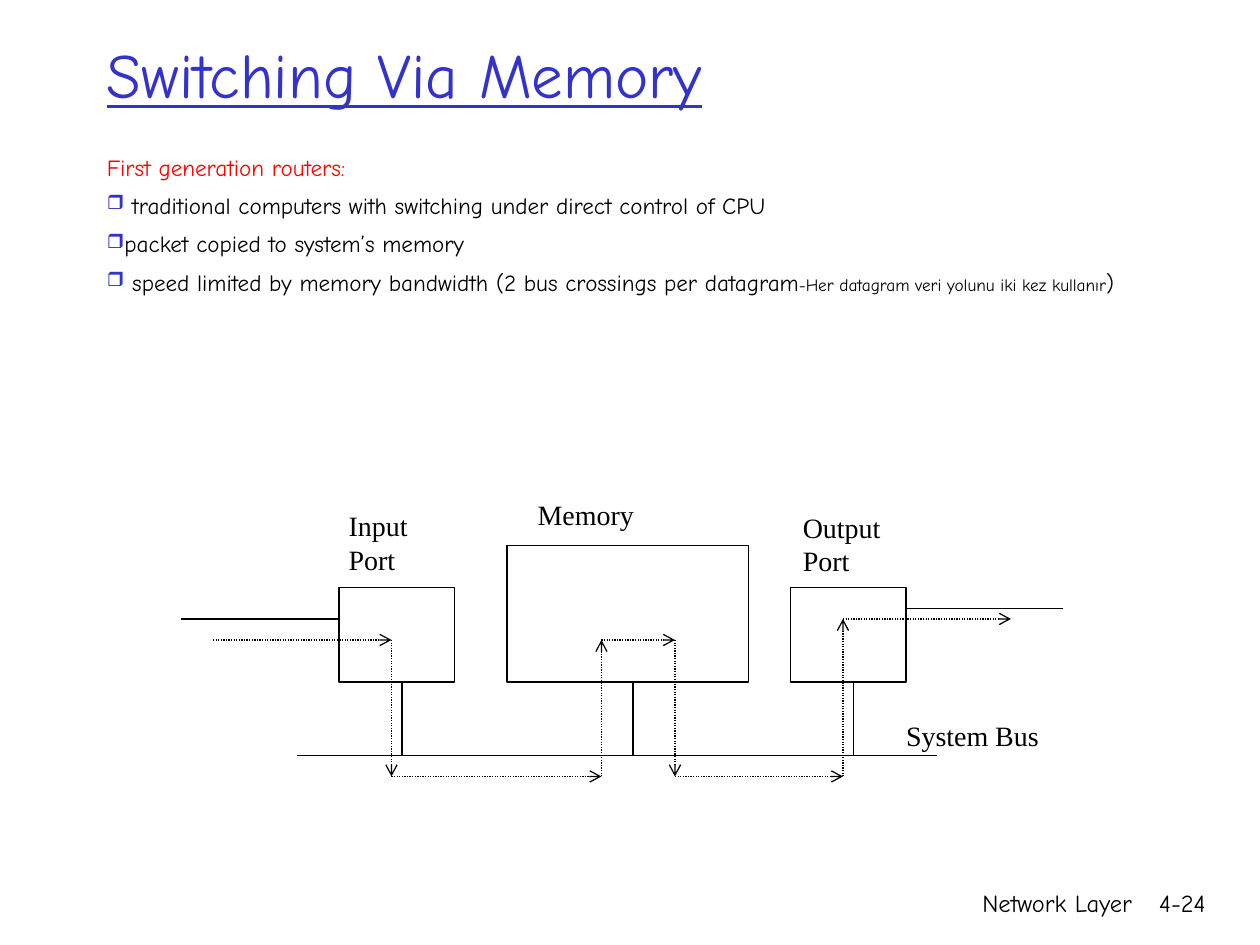
from itertools import pairwise

from lxml import etree
from pptx import Presentation
from pptx.dml.color import RGBColor
from pptx.enum.dml import MSO_LINE
from pptx.enum.shapes import MSO_CONNECTOR, MSO_SHAPE
from pptx.enum.text import MSO_ANCHOR, PP_ALIGN
from pptx.oxml.ns import qn
from pptx.util import Pt

STRAIGHT = MSO_CONNECTOR.STRAIGHT
RECT = MSO_SHAPE.RECTANGLE
DOTTED = MSO_LINE.ROUND_DOT
LEFT, RIGHT = PP_ALIGN.LEFT, PP_ALIGN.RIGHT
TOP, MIDDLE = MSO_ANCHOR.TOP, MSO_ANCHOR.MIDDLE

COLORS = {"blue": "3333CC", "red": "FF0000", "black": "000000"}
SANS, SERIF = "Comic Neue", "Times New Roman"


def color(name):
    return RGBColor.from_string(COLORS[name])


def add_run(p, text, size, font=SANS, fill="black", underline=None):
    r = p.add_run()
    r.text = text
    r.font.size = Pt(size)
    r.font.name = font
    r.font.color.rgb = color(fill)
    r.font.underline = underline


def add_text(s, box, lines, align=LEFT, anchor=TOP, wrap=True, **fmt):
    """Add a text box with one paragraph for each line."""
    tf = s.shapes.add_textbox(*map(Pt, box)).text_frame
    tf.word_wrap = wrap
    tf.vertical_anchor = anchor
    for i, line in enumerate(lines):
        p = tf.add_paragraph() if i else tf.paragraphs[0]
        p.alignment = align
        add_run(p, line, **fmt)
    return tf


def add_bullet(p, char="❒"):
    pPr = p._p.get_or_add_pPr()
    pPr.set("marL", str(Pt(9.4)))
    pPr.set("indent", str(-Pt(9.4)))
    clr = etree.SubElement(pPr, qn("a:buClr"))
    etree.SubElement(clr, qn("a:srgbClr"), val=COLORS["blue"])
    etree.SubElement(pPr, qn("a:buSzPct"), val="85000")
    etree.SubElement(pPr, qn("a:buChar"), char=char)


def add_body(s, box):
    size, small = 13.2, 9.9
    bullets = [
        [(" traditional computers with switching under direct control of CPU", size)],
        [("packet copied to system’s memory", size)],
        [(" speed limited by memory bandwidth (2 bus crossings per datagram", size),
         ("-Her datagram veri yolunu iki kez kullanır", small), (")", size)],
    ]
    tf = add_text(s, box, ["First generation routers:"], size=size, fill="red")
    for runs in bullets:
        p = tf.add_paragraph()
        p.space_before = Pt(6)
        add_bullet(p)
        for text, run_size in runs:
            add_run(p, text, run_size)


def add_line(s, start, end, flow=False):
    """Add a solid line, or a dotted arrow if it shows a flow."""
    c = s.shapes.add_connector(STRAIGHT, *map(Pt, (*start, *end)))
    c.line.color.rgb = color("black")
    c.line.width = Pt(0.75)
    if flow:
        c.line.dash_style = DOTTED
        etree.SubElement(c.line._get_or_add_ln(), qn("a:tailEnd"), type="arrow")
    etree.SubElement(c._element.spPr, qn("a:effectLst"))


def add_diagram(s, left, top):
    def at(x, y):
        return left + x, top + y

    bottom, bus = 109, 151
    for x, y, w in [(90, 55, 66), (348, 55, 66), (186, 31, 138)]:
        sp = s.shapes.add_shape(RECT, *map(Pt, (*at(x, y), w, bottom - y)))
        sp.shadow.inherit = False
        sp.fill.background()
        sp.line.color.rgb = color("black")
        sp.line.width = Pt(0.75)

    add_line(s, at(66, bus), at(432, bus))
    for x in (126, 258, 384):
        add_line(s, at(x, bottom), at(x, bus))
    add_line(s, at(90, 73), at(0, 73))
    add_line(s, at(504, 67), at(414, 67))

    datagram = [(18, 85), (120, 85), (120, 163), (240, 163), (240, 85),
                (282, 85), (282, 163), (378, 163), (378, 73), (474, 73)]
    for start, end in pairwise(datagram):
        add_line(s, at(*start), at(*end), flow=True)

    labels = [(88.5, 6.3, 52, ["Input", "Port"]), (348, 7.3, 64, ["Output", "Port"]),
              (196.5, 0, 75, ["Memory"]), (407, 126.3, 95, ["System Bus"])]
    for x, y, w, lines in labels:
        h = 7.6 + 19.2 * len(lines)
        add_text(s, (*at(x, y), w, h), lines, wrap=False, size=16, font=SERIF)


def add_footer(s, top):
    for left, width, text in [(426, 228, "Network Layer"), (643, 53, "4-24")]:
        add_text(s, (left, top, width, 36), [text], align=RIGHT, size=14)


def main():
    prs = Presentation()
    prs.slide_width, prs.slide_height = Pt(720), Pt(540)
    s = prs.slides.add_slide(prs.slide_layouts[6])
    add_footer(s, 504)
    add_text(s, (54, 18, 612, 48), ["Switching Via Memory"], anchor=MIDDLE,
             size=36, fill="blue", underline=True)
    add_body(s, (54, 84, 655, 84))
    add_diagram(s, 103.7, 280.7)
    prs.save("out.pptx")


if __name__ == "__main__":
    main()
